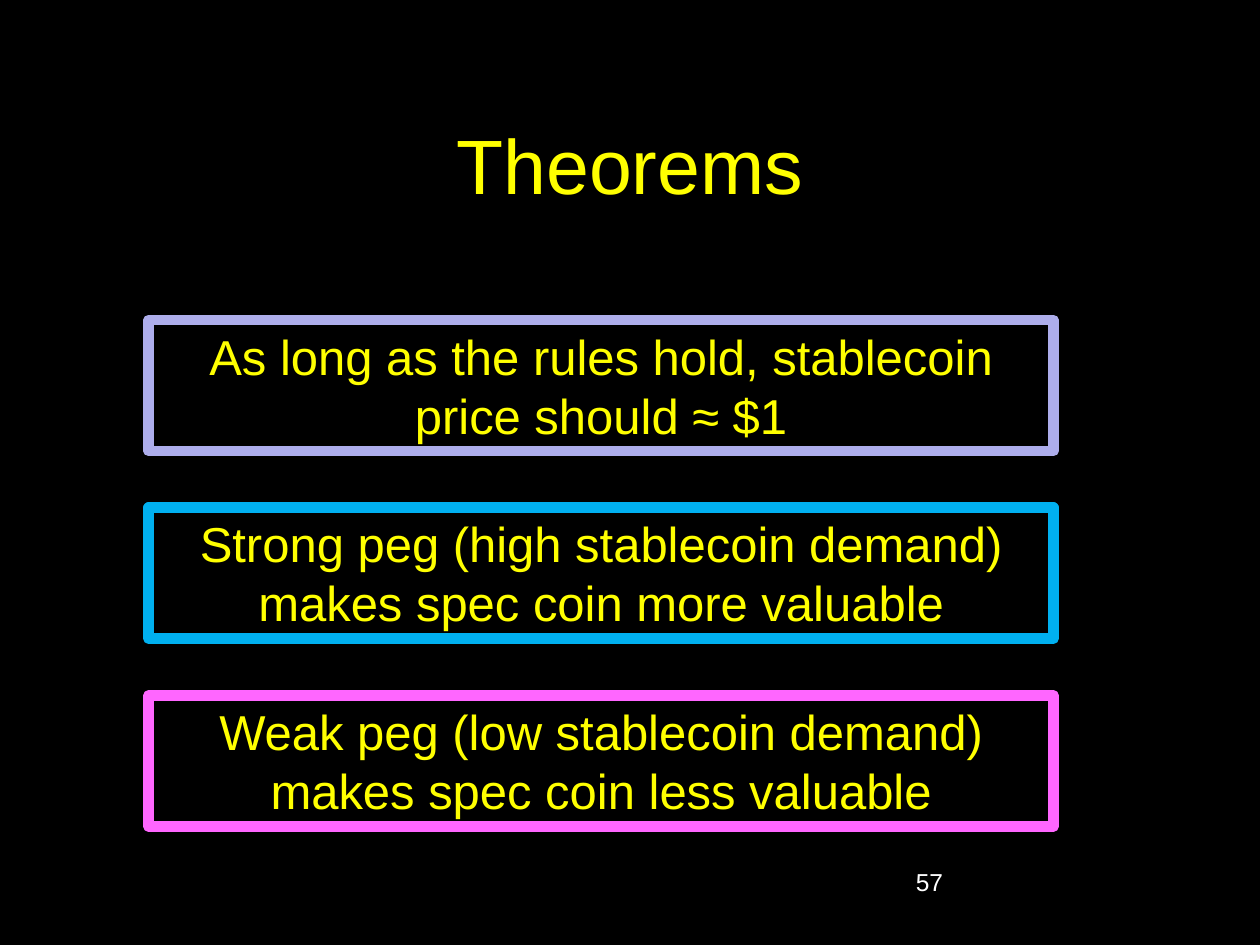
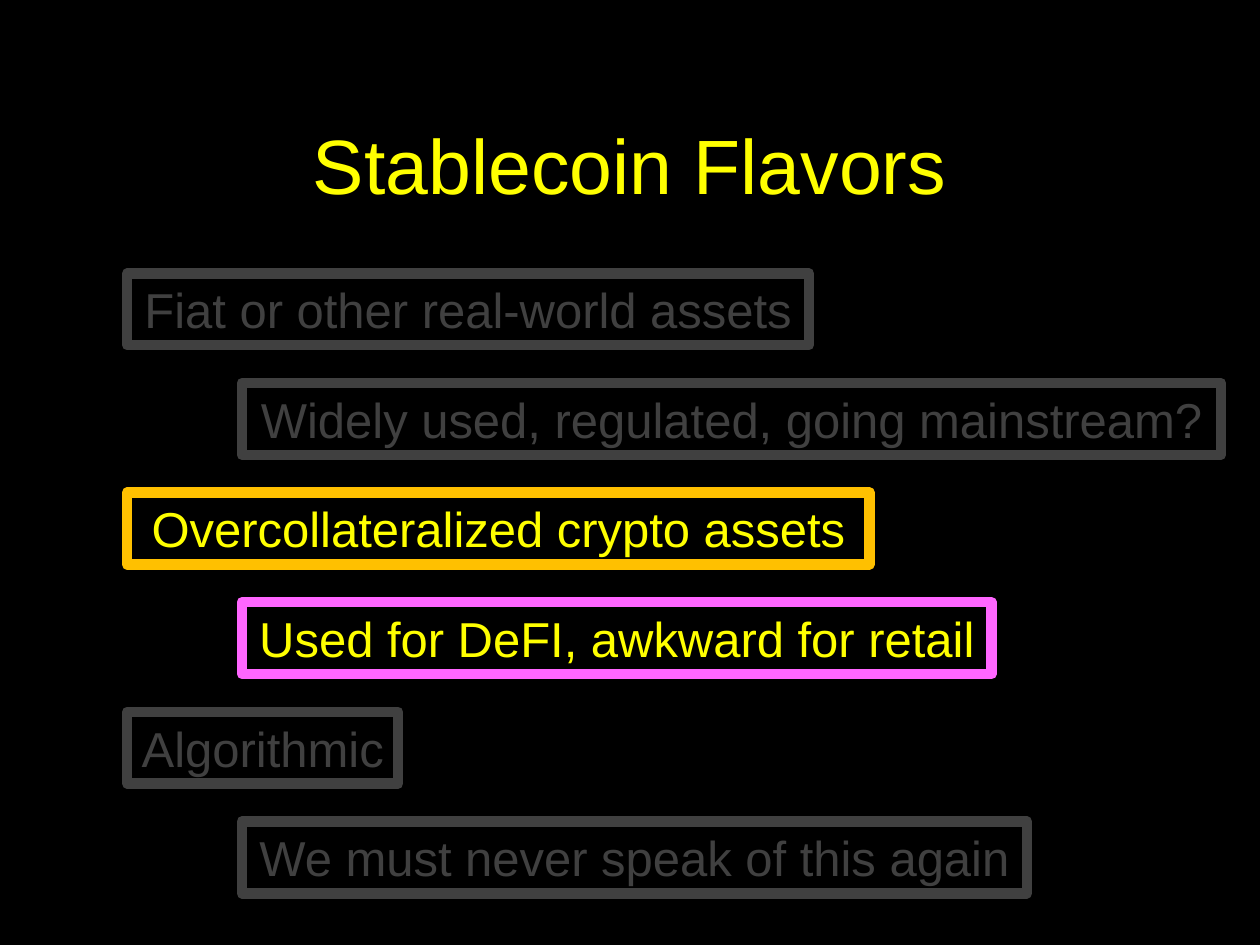
import pptx
import pptx.util
import pptx.dml.color
import pptx.enum.shapes
import pptx.enum.text

Inches = pptx.util.Inches
RGBColor = pptx.dml.color.RGBColor

BLACK = RGBColor(0x00, 0x00, 0x00)
WHITE = RGBColor(0xFF, 0xFF, 0xFF)
YELLOW = RGBColor(0xFF, 0xFF, 0x00)
LAVENDER = RGBColor(0xAD, 0xAD, 0xEB)
BLUE = RGBColor(0x00, 0xB0, 0xF0)
PINK = RGBColor(0xFF, 0x66, 0xFF)
ORANGE = RGBColor(0xFF, 0xC0, 0x00)
GRAY = RGBColor(0x40, 0x40, 0x40)

FONT = "Arial"
CENTER = pptx.enum.text.PP_ALIGN.CENTER
LEFT = pptx.enum.text.PP_ALIGN.LEFT
TOP = pptx.enum.text.MSO_ANCHOR.TOP
MIDDLE = pptx.enum.text.MSO_ANCHOR.MIDDLE


def write(box, text, size, color, align=CENTER, anchor=TOP, wrap=True):
    frame = box.text_frame
    frame.word_wrap = wrap
    frame.vertical_anchor = anchor
    para = frame.paragraphs[0]
    para.alignment = align
    span = para.add_run()
    span.text = text
    span.font.name = FONT
    span.font.size = pptx.util.Pt(size)
    span.font.color.rgb = color


def add_framed_text(page, left, top, width, height, text, border, color, wrap):
    box = page.shapes.add_shape(
        pptx.enum.shapes.MSO_SHAPE.RECTANGLE,
        Inches(left), Inches(top), Inches(width), Inches(height))
    box.shadow.inherit = False
    box.fill.solid()
    box.fill.fore_color.rgb = BLACK
    box.line.color.rgb = border
    box.line.width = pptx.util.Pt(6)
    write(box, text, 28, color, wrap=wrap)
    box.text_frame.auto_size = pptx.enum.text.MSO_AUTO_SIZE.SHAPE_TO_FIT_TEXT


deck = pptx.Presentation()
deck.slide_width = Inches(10)
deck.slide_height = Inches(7.5)

# Black pages with a centred title
pages = []
for title in ("Theorems", "Stablecoin Flavors"):
    page = deck.slides.add_slide(deck.slide_layouts[6])
    page.background.fill.solid()
    page.background.fill.fore_color.rgb = BLACK
    title_box = page.shapes.add_textbox(
        Inches(0.75), Inches(0.67), Inches(8.5), Inches(1.25))
    write(title_box, title, 44, YELLOW, anchor=MIDDLE)
    pages.append(page)
theorems_page, flavors_page = pages

# Page number
number_box = theorems_page.shapes.add_textbox(
    Inches(7.17), Inches(6.83), Inches(2.08), Inches(0.5))
write(number_box, "57", 14, WHITE, align=LEFT)

# Theorems: three equal boxes, evenly stacked
theorems = [
    ("As long as the rules hold, stablecoin price should ≈ $1", LAVENDER),
    ("Strong peg (high stablecoin demand) makes spec coin more valuable", BLUE),
    ("Weak peg (low stablecoin demand) makes spec coin less valuable", PINK),
]
for row, (text, border) in enumerate(theorems):
    add_framed_text(theorems_page, 1.18, 2.54 + 1.49 * row, 7.18, 1.04,
                    text, border, YELLOW, wrap=True)

# Flavors: each kind is followed by an indented remark
flavors = [
    ("Fiat or other real-world assets", 5.41, GRAY, GRAY),
    ("Widely used, regulated, going mainstream?", 7.77, GRAY, GRAY),
    ("Overcollateralized crypto assets", 5.89, ORANGE, YELLOW),
    ("Used for DeFI, awkward for retail", 5.95, PINK, YELLOW),
    ("Algorithmic", 2.15, GRAY, GRAY),
    ("We must never speak of this again", 6.23, GRAY, GRAY),
]
for row, (text, width, border, color) in enumerate(flavors):
    left = 1.92 if row % 2 else 1.01
    add_framed_text(flavors_page, left, 2.17 + 0.87 * row, width, 0.57,
                    text, border, color, wrap=False)

deck.save("out.pptx")
